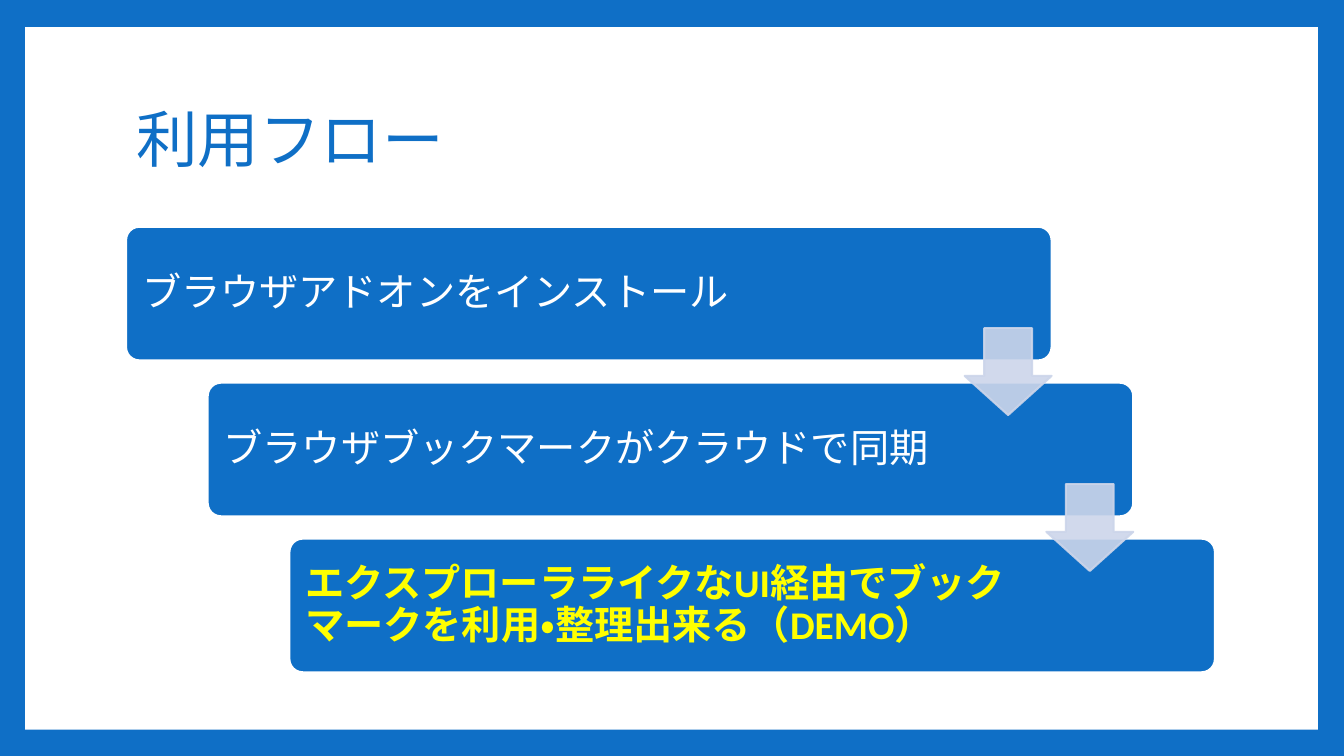
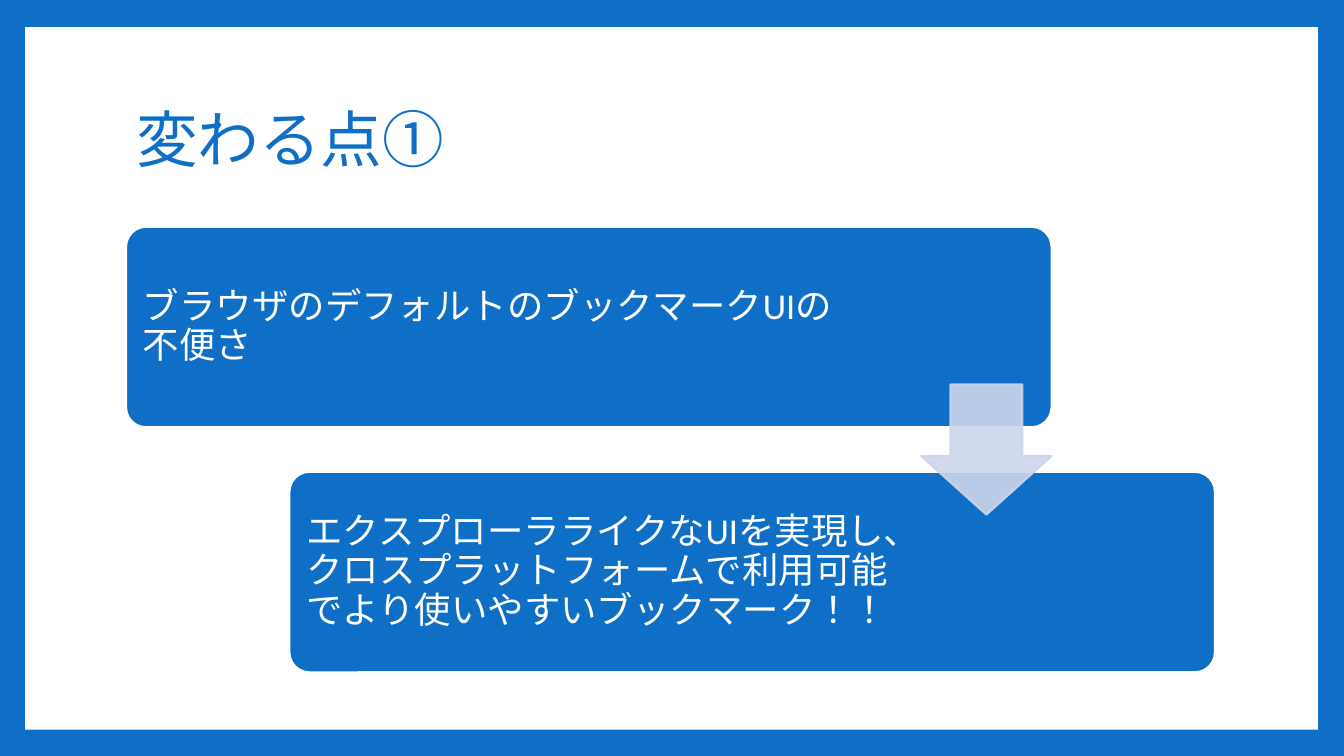
from dataclasses import dataclass

from lxml.etree import SubElement
from pptx import Presentation
from pptx.dml.color import RGBColor
from pptx.dml.fill import FillFormat
from pptx.enum.lang import MSO_LANGUAGE_ID as Language
from pptx.enum.shapes import MSO_SHAPE as Preset
from pptx.enum.text import MSO_ANCHOR as Anchor
from pptx.enum.text import MSO_AUTO_SIZE as AutoSize
from pptx.enum.text import PP_ALIGN as Align
from pptx.oxml.ns import qn
from pptx.shapes.autoshape import Shape
from pptx.slide import Slide, SlideLayout
from pptx.util import Inches, Pt

FONT = "Calibri"
BLUE, WHITE, YELLOW, PALE = "0F6FC6", "FFFFFF", "FFFF00", "CCD5EA"
SLIDE_WIDTH, SLIDE_HEIGHT = 13.33, 7.5
ARROW_OPACITY = 0.9
CORNER = 0.1
CORNER_INSET = 0.29  # share of the corner radius that text keeps clear of


@dataclass(frozen=True)
class Box:
    left: float
    top: float
    width: float
    height: float

    @property
    def right(self) -> float:
        return self.left + self.width

    @property
    def bottom(self) -> float:
        return self.top + self.height


@dataclass(frozen=True)
class Step:
    text: str
    text_share: float  # share of the step's width open to text
    highlighted: bool = False


@dataclass(frozen=True)
class Flow:
    title: str
    text_size: int
    inset: float
    steps: tuple[Step, ...]


FRAME = Box(0.25, 0.27, 12.82, 6.97)
TITLE = Box(1.25, 0.67, 10.8, 1.48)
DIAGRAM = Box(1.25, 2.25, 10.8, 4.42)

FLOWS = (
    Flow("利用フロー", 28, 0.12, (
        Step("ブラウザアドオンをインストール", 0.84),
        Step("ブラウザブックマークがクラウドで同期", 0.81),
        Step("エクスプローラライクなUI経由でブックマークを利用・整理出来る（DEMO）", 0.81,
             highlighted=True),
    )),
    Flow("変わる点①", 26, 0.11, (
        Step("ブラウザのデフォルトのブックマークUIの不便さ", 0.78),
        Step("エクスプローラライクなUIを実現し、クロスプラットフォームで利用可能で"
             "より使いやすいブックマーク！！", 0.67),
    )),
)


def set_color(fill: FillFormat, color: str, opacity: float = 1) -> None:
    fill.solid()
    fill.fore_color.rgb = RGBColor.from_string(color)
    if opacity < 1:
        # The fill's own element is reached through its colour choice.
        color_element = fill._xPr.find(qn("a:solidFill")).find(qn("a:srgbClr"))
        SubElement(color_element, qn("a:alpha")).set("val", str(round(opacity * 100000)))


def place(shape: Shape, box: Box) -> None:
    shape.left, shape.top = Inches(box.left), Inches(box.top)
    shape.width, shape.height = Inches(box.width), Inches(box.height)


def write(shape: Shape, text: str, *, size: int, color: str, bold: bool = False) -> None:
    frame = shape.text_frame
    frame.word_wrap = True
    frame.auto_size = AutoSize.NONE
    frame.vertical_anchor = Anchor.MIDDLE
    paragraph = frame.paragraphs[0]
    paragraph.alignment = Align.LEFT
    paragraph.line_spacing = 0.9
    run = paragraph.add_run()
    run.text = text
    font = run.font
    font.name, font.size, font.bold = FONT, Pt(size), bold
    font.language_id = Language.JAPANESE
    set_color(font.fill, color)


def add_preset(slide: Slide, preset: Preset, box: Box, fill: str, *,
               line: str | None = None, opacity: float = 1,
               adjustments: tuple[float, ...] = ()) -> Shape:
    shape = slide.shapes.add_shape(preset, 0, 0, 0, 0)
    place(shape, box)
    shape.shadow.inherit = False
    set_color(shape.fill, fill, opacity)
    if line:
        set_color(shape.line.fill, line, opacity)
        shape.line.width = Pt(1.5)
    else:
        shape.line.fill.background()
    for index, value in enumerate(adjustments):
        shape.adjustments[index] = value
    return shape


def dress_layout(layout: SlideLayout, slide: Slide) -> None:
    """Give the layout its blue border, white frame and title position."""
    set_color(layout.background.fill, BLUE)
    frame = add_preset(slide, Preset.RECTANGLE, FRAME, WHITE)
    layout.shapes._spTree.insert(2, frame._element)
    place(layout.placeholders[0], TITLE)


def step_boxes(count: int) -> list[Box]:
    """Staircase of equal boxes filling the diagram from corner to corner."""
    width, height = DIAGRAM.width * 0.85, DIAGRAM.height * 0.9 / count
    shift = (DIAGRAM.width - width) / (count - 1)
    drop = (DIAGRAM.height - height) / (count - 1)
    return [Box(DIAGRAM.left + i * shift, DIAGRAM.top + i * drop, width, height)
            for i in range(count)]


def add_step(slide: Slide, flow: Flow, step: Step, box: Box) -> None:
    shape = add_preset(slide, Preset.ROUNDED_RECTANGLE, box, BLUE, line=WHITE,
                       adjustments=(CORNER,))
    corner = CORNER_INSET * CORNER * box.height
    frame = shape.text_frame
    frame.margin_left = frame.margin_top = frame.margin_bottom = Inches(flow.inset)
    frame.margin_right = Inches(box.width * (1 - step.text_share) - 2 * corner + flow.inset)
    write(shape, step.text, size=flow.text_size, bold=step.highlighted,
          color=YELLOW if step.highlighted else WHITE)


def add_step_arrow(slide: Slide, upper: Box, lower: Box) -> None:
    """Centre an arrow on the gap, flush with the upper box's right side."""
    side = upper.height * 0.65
    middle = (upper.bottom + lower.top) / 2
    add_preset(slide, Preset.DOWN_ARROW, Box(upper.right - side, middle - side / 2, side, side),
               PALE, line=PALE, opacity=ARROW_OPACITY, adjustments=(0.55, 0.45))


def draw_flow(slide: Slide, flow: Flow) -> None:
    write(slide.shapes.title, flow.title, size=44, color=BLUE)
    boxes = step_boxes(len(flow.steps))
    for step, box in zip(flow.steps, boxes):
        add_step(slide, flow, step, box)
    for upper, lower in zip(boxes, boxes[1:]):
        add_step_arrow(slide, upper, lower)


def main() -> None:
    presentation = Presentation()
    presentation.slide_width = Inches(SLIDE_WIDTH)
    presentation.slide_height = Inches(SLIDE_HEIGHT)
    layout = presentation.slide_layouts.get_by_name("Title Only")
    slides = [presentation.slides.add_slide(layout) for _ in FLOWS]
    dress_layout(layout, slides[0])
    for slide, flow in zip(slides, FLOWS):
        draw_flow(slide, flow)
    presentation.save("out.pptx")


if __name__ == "__main__":
    main()
